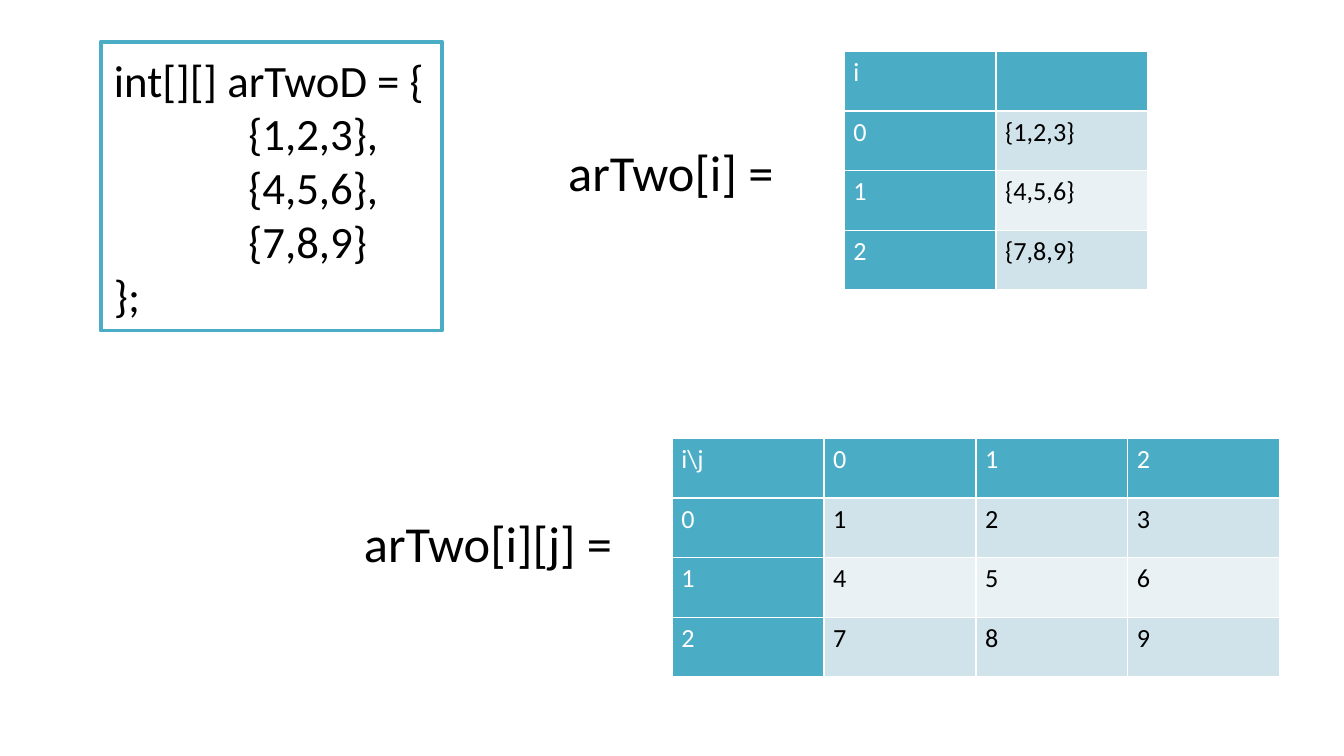
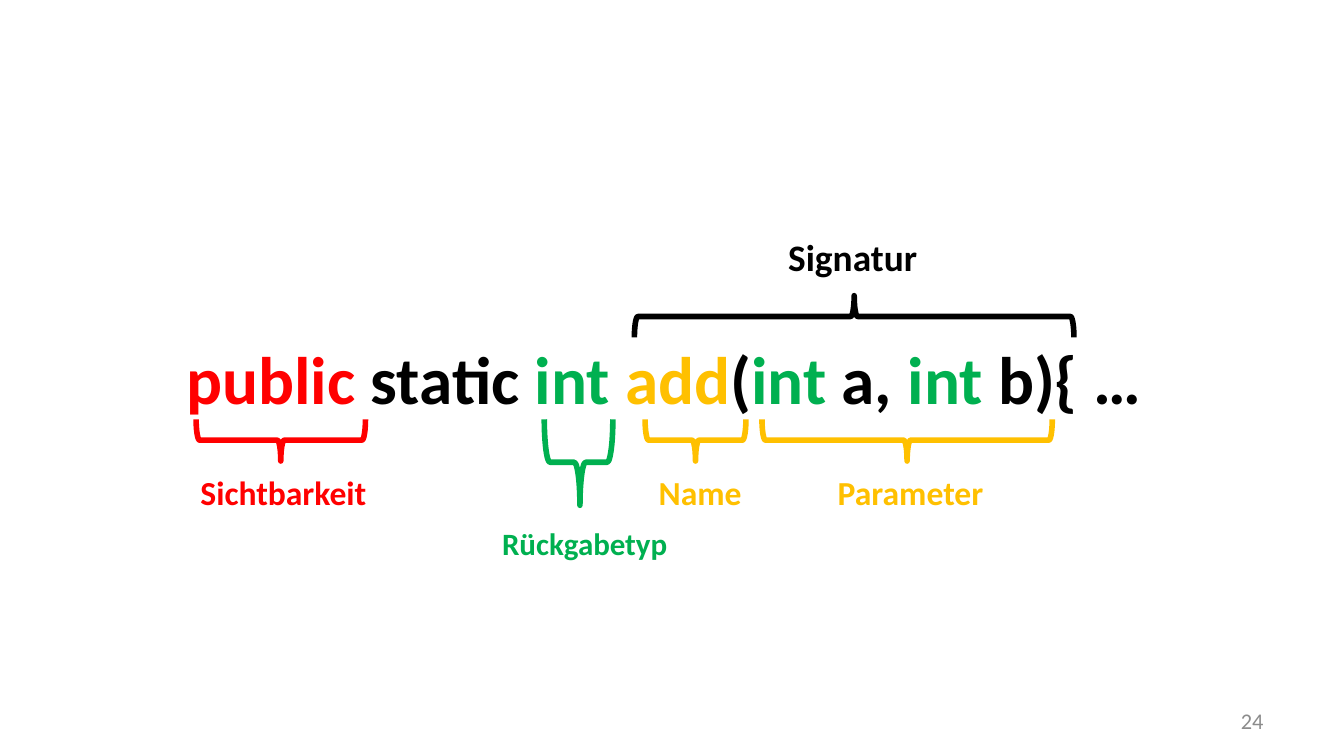
from dataclasses import dataclass

from lxml.etree import SubElement
from pptx import Presentation
from pptx.dml.color import RGBColor
from pptx.enum.shapes import MSO_SHAPE
from pptx.enum.text import MSO_ANCHOR, PP_ALIGN
from pptx.oxml.ns import qn
from pptx.util import Inches, Pt


@dataclass(frozen=True)
class Theme:
    font: str = "Calibri"
    teal: str = "4BACC6"
    band_dark: str = "D0E3EA"
    band_light: str = "E9F1F5"
    white: str = "FFFFFF"
    black: str = "000000"
    grey: str = "8C8C8C"
    red: str = "FF0000"
    green: str = "00B050"
    amber: str = "FFC000"
    declaration_size: float = 36
    expression_size: float = 27
    code_size: float = 24
    signature_size: float = 20
    label_size: float = 18
    return_type_size: float = 16.6
    cell_size: float = 14
    number_size: float = 12


THEME = Theme()

# Slide 1: the array, its rows and its elements
ARRAY_CODE = "int[][] arTwoD = {\n\t{1,2,3},\n\t{4,5,6},\n\t{7,8,9}\n};"
ARRAY_FRAME = (0.75, 0.31, 2.54, 2.15)
ARRAY_BOX = (0.75, 0.34, 2.53, 2.12)
CODE_INDENT = 1
VALUES = [[1, 2, 3], [4, 5, 6], [7, 8, 9]]
ROW_TABLE = [["i", ""]] + [
    [i, "{" + ",".join(map(str, row)) + "}"] for i, row in enumerate(VALUES)
]
ELEMENT_TABLE = [["i\\j", 0, 1, 2]] + [[i, *row] for i, row in enumerate(VALUES)]
# expression, its box, table content, table left and top
LOOKUPS = [
    ("arTwo[i][j] =", (2.61, 3.76, 2.07, 0.56), ELEMENT_TABLE, (5, 3.26)),
    ("arTwo[i] =", (4.13, 1, 1.74, 0.56), ROW_TABLE, (6.28, 0.38)),
]
COLUMN_WIDTH, TABLE_HEIGHT = 1.13, 1.78

# Slide 2: the parts of a method head
DECLARATION = [
    ("public ", THEME.red), ("static ", THEME.black), ("int ", THEME.green),
    ("add", THEME.amber), ("(", THEME.black), ("int", THEME.green),
    (" a, ", THEME.black), ("int", THEME.green), (" b){ … ", THEME.black),
]
DECLARATION_BOX = (0.62, 2.34, 8.75, 0.94)
# label, colour, size, label box
LABELS = [
    ("Sichtbarkeit", THEME.red, THEME.label_size, (1.38, 3.43, 1.46, 0.46)),
    ("Name", THEME.amber, THEME.label_size, (4.48, 3.43, 1.46, 0.46)),
    ("Rückgabetyp", THEME.green, THEME.return_type_size, (3.62, 3.81, 1.46, 0.46)),
    ("Parameter", THEME.amber, THEME.label_size, (5.8, 3.43, 1.95, 0.46)),
    ("Signatur", THEME.black, THEME.signature_size, (5.02, 1.68, 2.65, 0.46)),
]
# colour, left, top, span, depth, rotation, tip position
UP, DOWN = 90, 270
BRACES = [
    (THEME.red, 1.46, 3.12, 1.26, 0.31, DOWN, 0.5),
    (THEME.green, 4.05, 3.12, 0.51, 0.64, DOWN, 0.52),
    (THEME.amber, 4.8, 3.12, 0.75, 0.31, DOWN, 0.5),
    (THEME.amber, 5.67, 3.12, 2.16, 0.31, DOWN, 0.5),
    (THEME.black, 4.72, 2.2, 3.27, 0.31, UP, 0.5),
]
SLIDE_NUMBER = "24"
NUMBER_BOX = (7.17, 5.21, 2.33, 0.3)


def inches(box):
    return [Inches(value) for value in box]


def style(run, size, color, bold=False):
    font = run.font
    font.name, font.size, font.bold = THEME.font, Pt(size), bold
    font.color.rgb = RGBColor.from_string(color)


def add_text(slide, box, text, size, color=THEME.black, bold=False, align=None):
    """Plain text stays on its own lines; aligned text wraps in its box."""
    frame = slide.shapes.add_textbox(*inches(box)).text_frame
    frame.word_wrap = align is not None
    if align is not None:
        frame.vertical_anchor = MSO_ANCHOR.MIDDLE
    frame.text = text
    for paragraph in frame.paragraphs:
        paragraph.alignment = align
        for run in paragraph.runs:
            style(run, size, color, bold)
    return frame


def add_code(slide, box, code):
    for paragraph in add_text(slide, box, code, THEME.code_size).paragraphs:
        stops = SubElement(paragraph._p.get_or_add_pPr(), qn("a:tabLst"))
        SubElement(stops, qn("a:tab"), pos=str(Inches(CODE_INDENT)), algn="l")


def add_outline(slide, kind, box, color, width):
    outline = slide.shapes.add_shape(kind, *inches(box))
    outline.shadow.inherit = False
    outline.fill.background()
    outline.line.color.rgb = RGBColor.from_string(color)
    outline.line.width = Pt(width)
    return outline


def fill_cell(cell, text, fill, color):
    cell.text = str(text)
    cell.margin_left = cell.margin_right = Inches(0.07)
    cell.margin_top = cell.margin_bottom = Inches(0.04)
    paragraph = cell.text_frame.paragraphs[0]
    paragraph.font.size = Pt(THEME.cell_size)
    for run in paragraph.runs:
        style(run, THEME.cell_size, color)
    # Borders come before the fill in the cell properties
    properties = cell._tc.get_or_add_tcPr()
    for side in ("a:lnL", "a:lnR", "a:lnT", "a:lnB"):
        border = SubElement(properties, qn(side), w=str(Pt(1)))
        solid = SubElement(border, qn("a:solidFill"))
        SubElement(solid, qn("a:srgbClr"), val=THEME.white)
    cell.fill.solid()
    cell.fill.fore_color.rgb = RGBColor.from_string(fill)


def add_grid(slide, corner, content):
    rows, columns = len(content), len(content[0])
    size = (columns * COLUMN_WIDTH, TABLE_HEIGHT)
    table = slide.shapes.add_table(rows, columns, *inches(corner + size)).table
    table.horz_banding = False
    for r, row in enumerate(content):
        for c, text in enumerate(row):
            if r == 0 or c == 0:
                fill, color = THEME.teal, THEME.white
            else:
                fill = THEME.band_dark if r % 2 else THEME.band_light
                color = THEME.black
            fill_cell(table.cell(r, c), text, fill, color)


def add_brace(slide, color, left, top, span, depth, rotation, tip):
    # The unrotated brace stands upright around the same centre
    shift = (span - depth) / 2
    box = (left + shift, top - shift, depth, span)
    brace = add_outline(slide, MSO_SHAPE.LEFT_BRACE, box, color, 3)
    brace.rotation = rotation
    brace.adjustments[1] = tip


def build_array_slide(slide):
    add_outline(slide, MSO_SHAPE.RECTANGLE, ARRAY_FRAME, THEME.teal, 2)
    add_code(slide, ARRAY_BOX, ARRAY_CODE)
    for expression, box, content, corner in LOOKUPS:
        add_grid(slide, corner, content)
        add_text(slide, box, expression, THEME.expression_size)


def build_method_slide(slide):
    declaration = add_text(slide, DECLARATION_BOX, "", THEME.declaration_size,
                           align=PP_ALIGN.CENTER).paragraphs[0]
    for word, color in DECLARATION:
        run = declaration.add_run()
        run.text = word
        style(run, THEME.declaration_size, color, bold=True)
    add_text(slide, NUMBER_BOX, SLIDE_NUMBER, THEME.number_size, THEME.grey,
             align=PP_ALIGN.RIGHT)
    for brace in BRACES:
        add_brace(slide, *brace)
    for label, color, size, box in LABELS:
        add_text(slide, box, label, size, color, True, PP_ALIGN.CENTER)


def main():
    deck = Presentation()
    # Widescreen, 16 to 9
    deck.slide_width = Inches(10)
    deck.slide_height = Inches(10 * 9 / 16)
    blank = deck.slide_layouts[6]
    for build in (build_array_slide, build_method_slide):
        build(deck.slides.add_slide(blank))
    deck.save("out.pptx")


if __name__ == "__main__":
    main()
